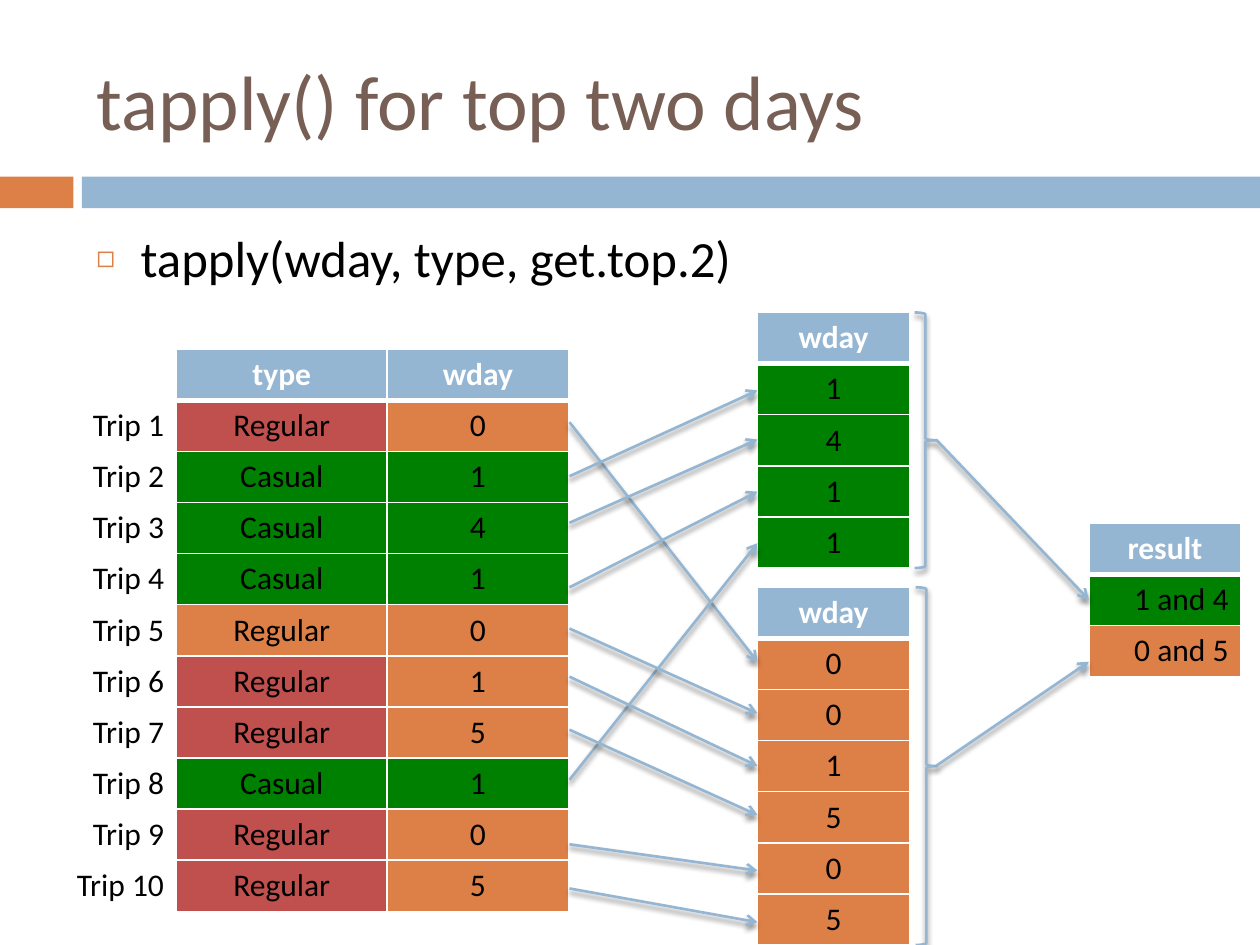
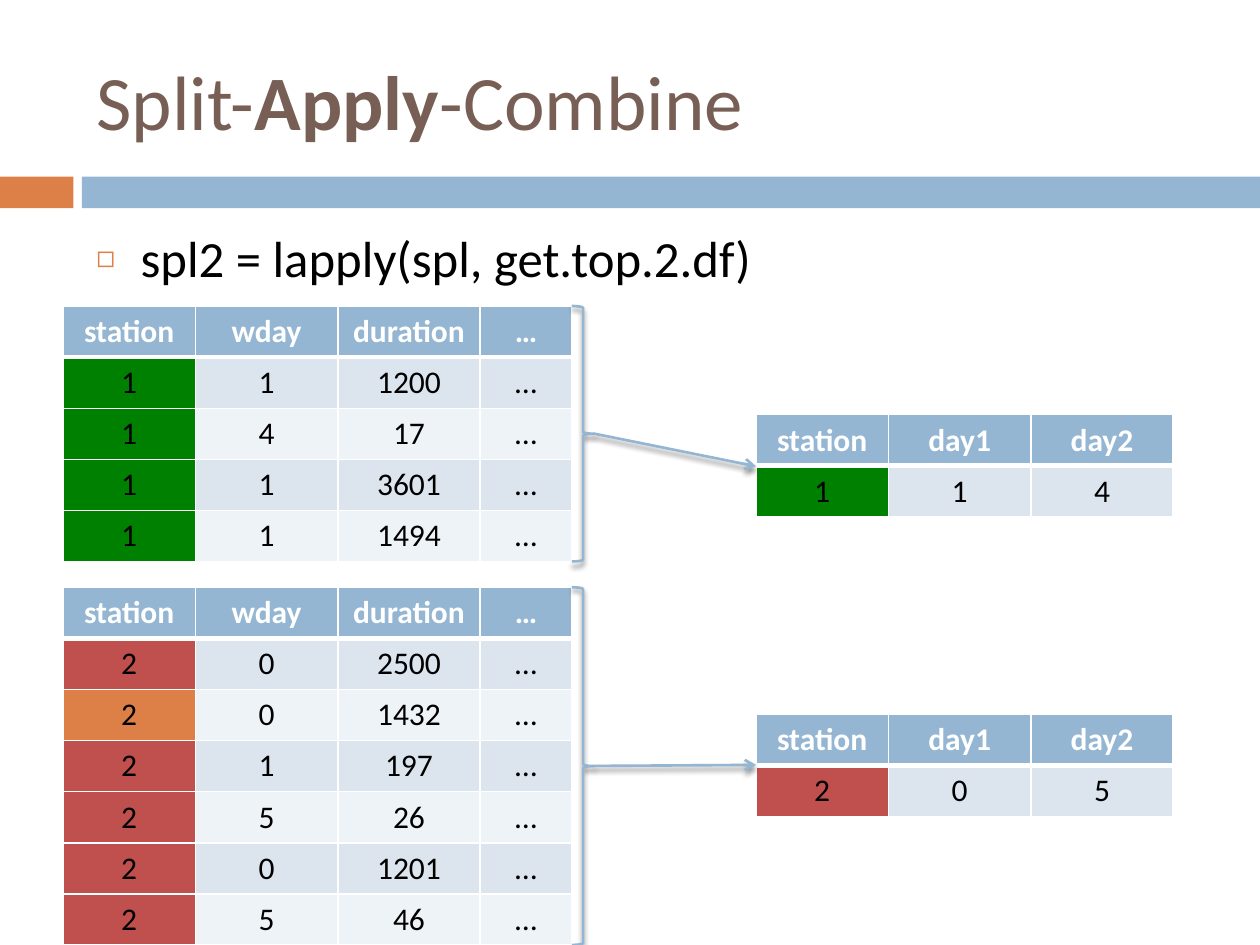
from lxml.etree import SubElement
from pptx import Presentation
from pptx.dml.color import RGBColor
from pptx.enum.shapes import MSO_CONNECTOR, MSO_SHAPE
from pptx.enum.text import MSO_ANCHOR, MSO_AUTO_SIZE, PP_ALIGN
from pptx.oxml.ns import qn
from pptx.util import Cm, Pt

WHITE = RGBColor(0xFF, 0xFF, 0xFF)
BLACK = RGBColor(0, 0, 0)
BROWN = RGBColor(0x77, 0x5F, 0x55)
BLUE = RGBColor(0x94, 0xB6, 0xD2)
ORANGE = RGBColor(0xDD, 0x80, 0x47)
RED = RGBColor(0xC0, 0x50, 0x4D)
GREEN = RGBColor(0, 0x80, 0)
PALE = RGBColor(0xDC, 0xE5, 0xEE)
LIGHT = RGBColor(0xEE, 0xF3, 0xF7)
FONT = "Calibri"
ROW = 1.03
LEFT, MID, RIGHT = PP_ALIGN.LEFT, PP_ALIGN.CENTER, PP_ALIGN.RIGHT


def place(shape, *box):
    shape.left, shape.top, shape.width, shape.height = map(Cm, box)


def style(para, size, color, align=LEFT, bold=False):
    para.alignment = align
    font = para.font
    font.name, font.size, font.bold = FONT, Pt(size), bold
    font.color.rgb = color


def node(parent, tag, **attrs):
    child = SubElement(parent, qn(tag))
    for key, value in attrs.items():
        child.set(key, str(value))
    return child


def set_base(deck, slide):
    title, body = list(slide.slide_layout.placeholders)[:2]
    place(title, 1.69, 0.64, 22.66, 2.74)
    place(body, 1.69, 4.45, 22.66, 12.5)
    tree = deck.slide_master.shapes.element
    for num, (left, width, color) in enumerate([(0, 1.48, ORANGE), (1.65, 23.75, BLUE)]):
        band = slide.shapes.add_shape(
            MSO_SHAPE.RECTANGLE, Cm(left), Cm(3.56), Cm(width), Cm(0.64))
        band.shadow.inherit = False
        band.fill.solid()
        band.fill.fore_color.rgb = color
        band.line.fill.background()
        band.element.nvSpPr.cNvPr.set("id", str(90 + num))
        tree.insert(2 + num, band.element)


def add_page(deck, title, code):
    slide = deck.slides.add_slide(deck.slide_layouts[1])
    head, body = slide.shapes.title, slide.placeholders[1]
    for shape in (head, body):
        shape.text_frame.auto_size = MSO_AUTO_SIZE.NONE
    head.text_frame.vertical_anchor = MSO_ANCHOR.MIDDLE
    para = head.text_frame.paragraphs[0]
    style(para, 44, BROWN)
    for text, bold in title:
        run = para.add_run()
        run.text = text
        if bold:
            run.font.bold = True
    para = body.text_frame.paragraphs[0]
    para.text = code
    props = para._p.get_or_add_pPr()
    props.set("marL", str(Cm(0.89)))
    props.set("indent", str(Cm(-0.89)))
    para.space_before = Pt(7)
    node(node(props, "a:buClr"), "a:srgbClr", val=ORANGE)
    node(props, "a:buSzPct", val=60000)
    node(props, "a:buChar", char="\u25fb")
    style(para, 29, BLACK)
    return slide


def edge(cell, row):
    props = cell._tc.get_or_add_tcPr()
    for side in "LRTB":
        thick = (side, row) in (("B", 0), ("T", 1))
        line = node(props, "a:ln" + side, w=Pt(3 if thick else 1))
        node(node(line, "a:solidFill"), "a:srgbClr", val=WHITE)


def add_grid(slide, left, top, cols, head, rows, fills, aligns=None):
    aligns = aligns or [MID] * len(cols)
    size = len(rows) + 1
    table = slide.shapes.add_table(
        size, len(cols), Cm(left), Cm(top), Cm(sum(cols)), Cm(ROW * size)).table
    for col, width in zip(table.columns, cols):
        col.width = Cm(width)
    tops = [BLUE if text else WHITE for text in head]
    for r, (texts, tints) in enumerate(zip([head] + rows, [tops] + fills)):
        table.rows[r].height = Cm(ROW)
        for c, (text, tint) in enumerate(zip(texts, tints)):
            cell = table.cell(r, c)
            edge(cell, r)
            cell.fill.solid()
            cell.fill.fore_color.rgb = tint
            para = cell.text_frame.paragraphs[0]
            para.text = text
            if r:
                style(para, 18, BLACK, aligns[c])
            else:
                style(para, 18, WHITE, MID, True)


def trace(shape, arrow=False):
    shape.line.color.rgb = BLUE
    shape.line.width = Pt(1.5)
    props = shape._element.spPr
    if arrow:
        node(props.find(qn("a:ln")), "a:tailEnd", type="arrow")
    glow = node(node(props, "a:effectLst"), "a:outerShdw", blurRad=Pt(3),
                dist=Pt(2.4), dir=5400000, rotWithShape=0)
    node(node(glow, "a:srgbClr", val=BLACK), "a:alpha", val=45000)


def add_arrow(slide, *ends):
    line = slide.shapes.add_connector(MSO_CONNECTOR.STRAIGHT, *map(Cm, ends))
    trace(line, True)


def add_brace(slide, left, top, width, rows):
    brace = slide.shapes.add_shape(
        MSO_SHAPE.RIGHT_BRACE, Cm(left), Cm(top), Cm(width), Cm(ROW * rows))
    brace.fill.background()
    trace(brace)


def days_page(deck):
    slide = add_page(deck, [("tapply() for top two days", False)],
                     "tapply(wday, type, get.top.2)")
    set_base(deck, slide)
    days = "0141015105"
    casual = (2, 3, 4, 8)
    rows, fills = [], []
    for trip, day in enumerate(days, 1):
        kind = "Casual" if trip in casual else "Regular"
        rows.append((f"Trip {trip}", kind, day))
        if trip in casual:
            fills.append((WHITE, GREEN, GREEN))
        else:
            fills.append((WHITE, ORANGE if trip == 5 else RED, ORANGE))
    add_grid(slide, 0.98, 7.04, (2.58, 4.24, 3.67), ("", "type", "wday"),
             rows, fills, (RIGHT, MID, MID))
    add_grid(slide, 21.95, 10.55, (3.07,), ("result",),
             [("1 and 4",), ("0 and 5",)], [(GREEN,), (ORANGE,)], (RIGHT,))
    for top, part, tint in ((11.84, "001505", ORANGE), (6.3, "1411", GREEN)):
        add_grid(slide, 15.27, top, (3.07,), ("wday",),
                 [(day,) for day in part], [(tint,)] * len(part))
    for start, end in ((8.51, 13.34), (9.6, 7.87), (10.54, 8.86), (11.84, 9.91),
                       (15.72, 10.95), (12.67, 14.38), (13.64, 15.44),
                       (14.71, 16.43), (17.02, 17.55), (17.91, 18.59)):
        add_arrow(slide, 11.48, start, 15.27, end)
    add_brace(slide, 18.44, 6.3, 0.43, 5)
    add_brace(slide, 18.46, 11.84, 0.43, 7)
    add_arrow(slide, 18.87, 8.86, 21.95, 12.09)
    add_arrow(slide, 18.87, 15.44, 21.95, 13.34)


def apply_page(deck):
    slide = add_page(deck, [("Split-", False), ("Apply", True), ("-Combine", False)],
                     "spl2 = lapply(spl, get.top.2.df)")
    cols = (2.67, 2.87, 2.87, 1.85)
    parts = (
        ("2", 11.84, "001505", (2500, 1432, 197, 26, 1201, 46),
         (RED, ORANGE, RED, RED, RED, RED), 14.4, ("0", "5")),
        ("1", 6.17, "1411", (1200, 17, 3601, 1494), (GREEN,) * 4, 8.36, ("1", "4")),
    )
    for name, top, days, times, tints, low, best in parts:
        rows = [(name, day, str(time), "…") for day, time in zip(days, times)]
        fills = [(tint,) + ((LIGHT if num % 2 else PALE),) * 3
                 for num, tint in enumerate(tints)]
        add_grid(slide, 1.27, top, cols, ("station", "wday", "duration", "…"), rows, fills)
        add_grid(slide, 15.24, low, cols[:3], ("station", "day1", "day2"),
                 [(name,) + best], [(tints[0], PALE, PALE)])
        add_brace(slide, 11.53, top, 0.45, len(rows) + 1)
    add_arrow(slide, 11.97, 8.74, 15.24, 9.4)
    add_arrow(slide, 11.97, 15.44, 15.24, 15.42)


def main():
    deck = Presentation()
    deck.slide_width, deck.slide_height = Cm(25.4), Cm(19.05)
    days_page(deck)
    apply_page(deck)
    deck.save("out.pptx")


main()
